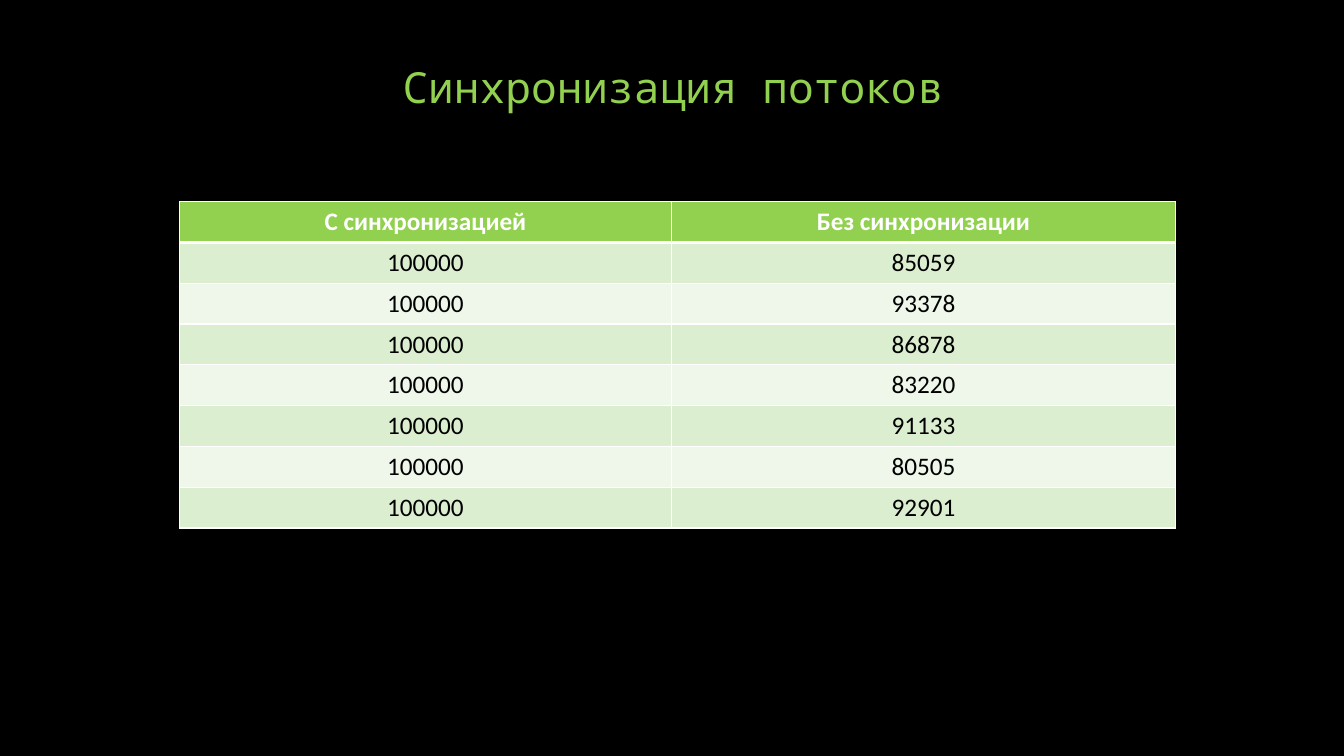
from lxml import etree
from pptx import Presentation
from pptx.dml.color import RGBColor
from pptx.enum import text
from pptx.oxml import ns
from pptx.util import Inches, Pt

BLACK = RGBColor(0x00, 0x00, 0x00)
WHITE = RGBColor(0xFF, 0xFF, 0xFF)
GREEN = RGBColor(0x92, 0xD0, 0x50)
BANDS = (RGBColor(0xDC, 0xEE, 0xD0), RGBColor(0xEE, 0xF7, 0xE9))

TITLE_FONT = {"name": "Noto Sans Mono", "size": Pt(30.6)}
HEADER_FONT = {"name": "Calibri", "size": Pt(18), "bold": True}
BODY_FONT = {**HEADER_FONT, "bold": False}

HEADINGS = ("С синхронизацией", "Без синхронизации")
SYNCED = "100000"
UNSYNCED = ("85059", "93378", "86878", "83220", "91133", "80505", "92901")
COLUMN_WIDTHS = (4.88, 5)
TABLE_HEIGHT = 3.24


def write_centred(frame, wording, font_format, color):
    paragraph = frame.paragraphs[0]
    paragraph.alignment = text.PP_ALIGN.CENTER
    run = paragraph.add_run()
    run.text = wording
    for attribute, value in font_format.items():
        setattr(run.font, attribute, value)
    run.font.color.rgb = color
    return paragraph


def add_title(slide, wording):
    title = slide.shapes.add_textbox(Inches(1.67), Inches(0.84), Inches(10), Inches(0.33))
    frame = title.text_frame
    frame.word_wrap = True
    frame.vertical_anchor = text.MSO_ANCHOR.BOTTOM
    write_centred(frame, wording, TITLE_FONT, GREEN).line_spacing = 0.9


def set_borders(cell, widths):
    """Draw white cell borders; widths maps the side letters L, R, T, B to points."""
    properties = cell._tc.get_or_add_tcPr()
    for side, width in widths.items():
        line = etree.SubElement(properties, ns.qn(f"a:ln{side}"), w=str(Pt(width)))
        fill = etree.SubElement(line, ns.qn("a:solidFill"))
        etree.SubElement(fill, ns.qn("a:srgbClr"), val=str(WHITE))


def add_results_table(slide):
    results = [HEADINGS] + [(SYNCED, count) for count in UNSYNCED]
    table = slide.shapes.add_table(
        len(results), len(HEADINGS), Inches(1.78), Inches(2),
        Inches(sum(COLUMN_WIDTHS)), Inches(TABLE_HEIGHT)).table
    for column, width in zip(table.columns, COLUMN_WIDTHS):
        column.width = Inches(width)
    for row_index, result in enumerate(results):
        is_header = row_index == 0
        table.rows[row_index].height = Inches(TABLE_HEIGHT / len(results))
        background = GREEN if is_header else BANDS[(row_index - 1) % 2]
        font_format, color = (HEADER_FONT, WHITE) if is_header else (BODY_FONT, BLACK)
        borders = {"L": 1, "R": 1, "T": 3 if row_index == 1 else 1, "B": 3 if is_header else 1}
        for column_index, wording in enumerate(result):
            cell = table.cell(row_index, column_index)
            set_borders(cell, borders)
            cell.fill.solid()
            cell.fill.fore_color.rgb = background
            write_centred(cell.text_frame, wording, font_format, color)


def main():
    deck = Presentation()
    deck.slide_width, deck.slide_height = Inches(13.33), Inches(7.5)
    slide = deck.slides.add_slide(deck.slide_layouts[6])
    slide.background.fill.solid()
    slide.background.fill.fore_color.rgb = BLACK
    add_title(slide, "Синхронизация потоков")
    add_results_table(slide)
    deck.save("out.pptx")


if __name__ == "__main__":
    main()
